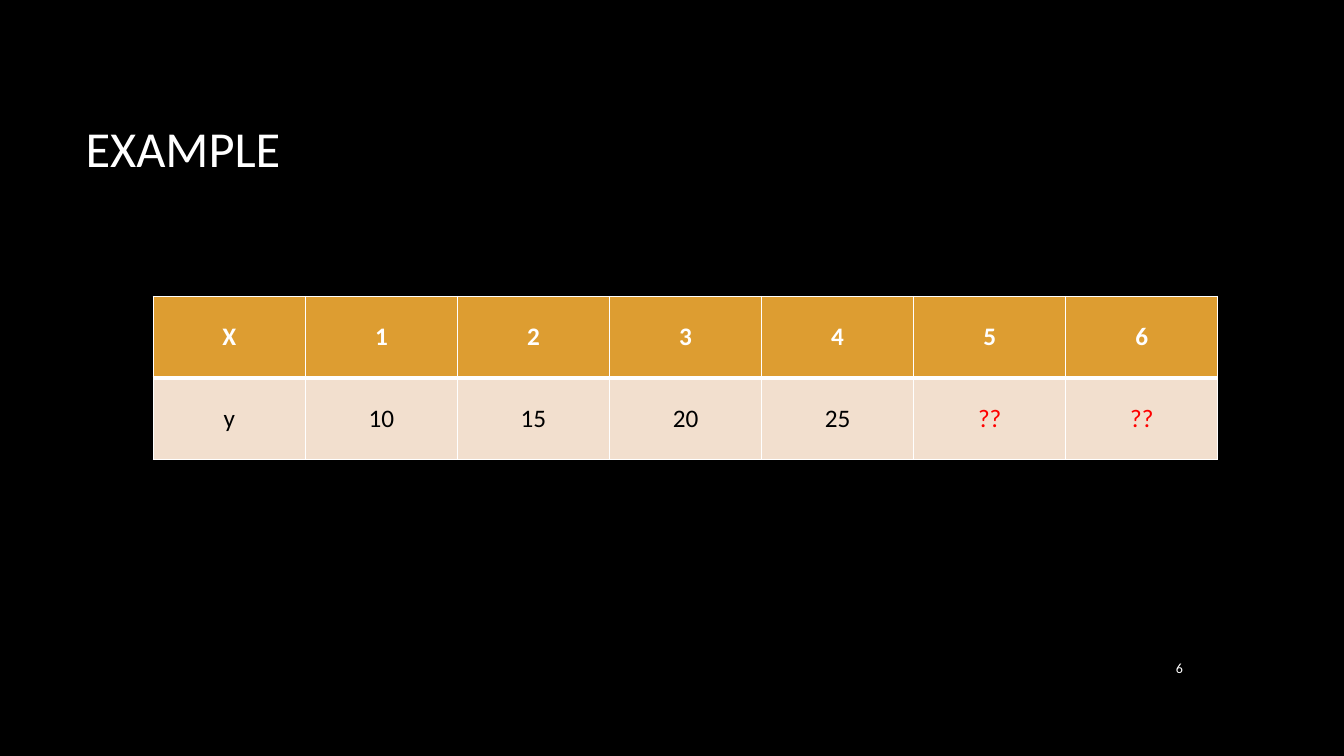
from lxml import etree
from pptx import Presentation
from pptx.dml.color import RGBColor
from pptx.enum.text import MSO_ANCHOR, PP_ALIGN
from pptx.oxml.ns import qn
from pptx.util import Inches, Pt

LEFT, CENTER, RIGHT = PP_ALIGN.LEFT, PP_ALIGN.CENTER, PP_ALIGN.RIGHT
MIDDLE = MSO_ANCHOR.MIDDLE

# Content
TEXTS = [
    ("EXAMPLE", (0.75, 0.67, 11.08, 1.59), 36, LEFT),
    ("6", (11.23, 6.42, 0.6, 0.41), 10, RIGHT),
]
ROWS = [
    ["X", "1", "2", "3", "4", "5", "6"],
    ["y", "10", "15", "20", "25", "??", "??"],
]
UNKNOWN = "??"
TABLE_BOX = (1.52, 2.94, 10.56, 1.62)
COLORS = {
    "background": "000000",
    "light": "FFFFFF",
    "header": "DD9D31",
    "body": "F2DFCE",
    "dark": "000000",
    "unknown": "FF0000",
}


def rgb(name):
    return RGBColor.from_string(COLORS[name])


def write(tf, text, size, color, align, bold=False):
    p = tf.paragraphs[0]
    p.alignment = align
    r = p.add_run()
    r.text = text
    r.font.color.rgb = rgb(color)
    style = {"name": "Calibri", "size": Pt(size), "bold": bold}
    for key, value in style.items():
        setattr(r.font, key, value)


def add_borders(cell, widths):
    tc_pr = cell._tc.get_or_add_tcPr()
    for i, (side, width) in enumerate(widths.items()):
        ln = etree.Element(qn(f"a:ln{side}"), w=str(Pt(width)))
        fill = etree.SubElement(ln, qn("a:solidFill"))
        etree.SubElement(fill, qn("a:srgbClr"), val=COLORS["light"])
        tc_pr.insert(i, ln)


prs = Presentation()
prs.slide_width, prs.slide_height = Inches(13.33), Inches(7.5)
s = prs.slides.add_slide(prs.slide_layouts[6])
s.background.fill.solid()
s.background.fill.fore_color.rgb = rgb("background")

# Title and slide number
for text, box, size, align in TEXTS:
    tf = s.shapes.add_textbox(*map(Inches, box)).text_frame
    tf.word_wrap = True
    tf.vertical_anchor = MIDDLE
    write(tf, text, size, "light", align)

# Table of values
table = s.shapes.add_table(len(ROWS), len(ROWS[0]), *map(Inches, TABLE_BOX)).table
for i, row in enumerate(ROWS):
    header = i == 0
    for j, text in enumerate(row):
        cell = table.cell(i, j)
        cell.vertical_anchor = MIDDLE
        cell.fill.solid()
        cell.fill.fore_color.rgb = rgb("header" if header else "body")
        color = "light" if header else "unknown" if text == UNKNOWN else "dark"
        write(cell.text_frame, text, 18, color, CENTER, bold=header)
        # Thick rule between the header and the values
        add_borders(cell, {"L": 1, "R": 1, "T": 1 if header else 3, "B": 3 if header else 1})

prs.save("out.pptx")
